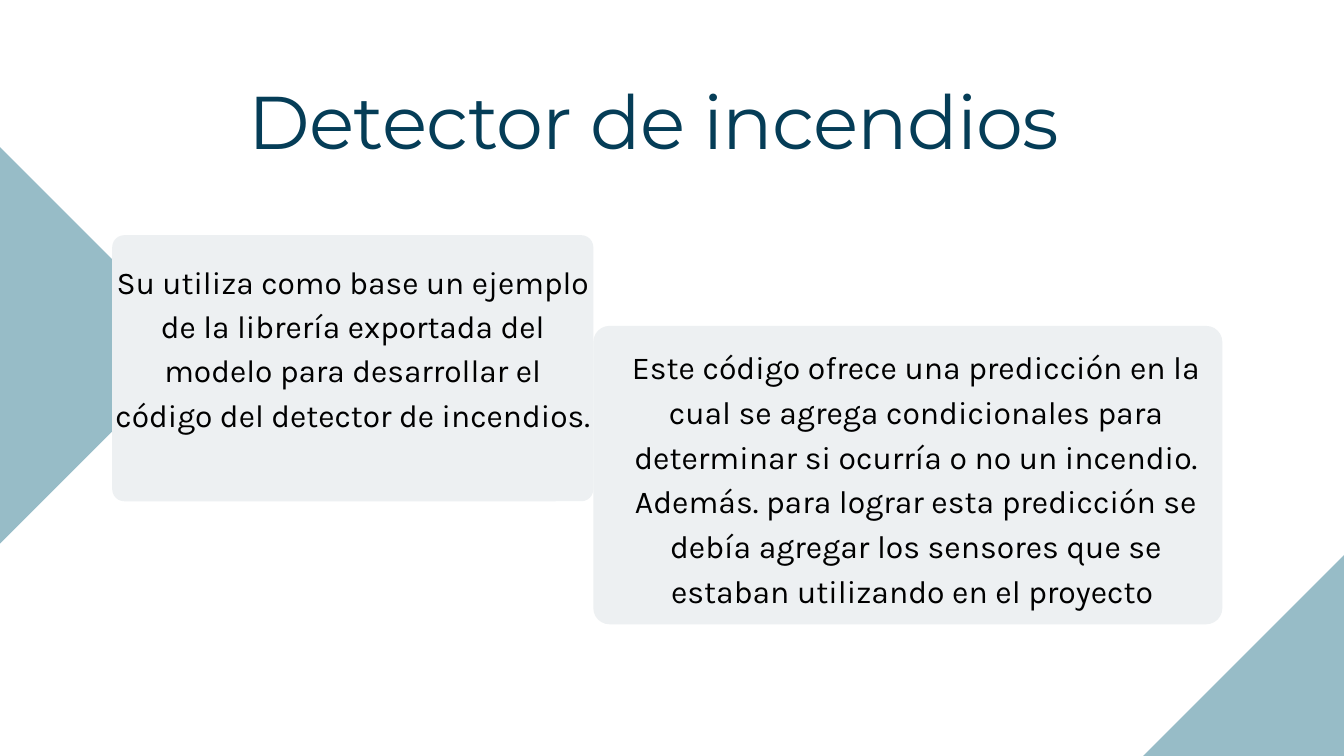
from dataclasses import dataclass

from pptx import Presentation
from pptx.dml.color import RGBColor
from pptx.enum.shapes import MSO_SHAPE as Shape
from pptx.enum.text import PP_ALIGN as Align
from pptx.util import Inches, Pt


@dataclass(frozen=True)
class Theme:
    title_color: RGBColor = RGBColor(0x05, 0x3D, 0x57)
    body_color: RGBColor = RGBColor(0, 0, 0)
    accent: RGBColor = RGBColor(0x97, 0xBC, 0xC7)
    card: RGBColor = RGBColor(0xED, 0xF0, 0xF2)
    title_font: str = "Montserrat"
    body_font: str = "Karla"
    title_size: float = 80
    left_size: float = 34
    right_size: float = 34.2


THEME = Theme()


def add_text(slide, box, paragraphs, *, size, font, color, leading, spacing=0):
    """Centred text without insets; leading and spacing are in points."""
    frame = slide.shapes.add_textbox(*map(Inches, box)).text_frame
    frame.word_wrap = True
    frame.margin_left = frame.margin_right = 0
    frame.margin_top = frame.margin_bottom = 0
    for index, words in enumerate(paragraphs):
        paragraph = frame.paragraphs[0] if index == 0 else frame.add_paragraph()
        paragraph.alignment = Align.CENTER
        paragraph.line_spacing = Pt(leading)
        run = paragraph.add_run()
        run.text = words
        run.font.size = Pt(size)
        run.font.name = font
        run.font.color.rgb = color
        if spacing:
            run.font._element.set("spc", str(round(spacing * 100)))


def add_panel(slide, kind, box, color):
    panel = slide.shapes.add_shape(kind, *map(Inches, box))
    panel.shadow.inherit = False
    panel.fill.solid()
    panel.fill.fore_color.rgb = color
    panel.line.fill.background()
    return panel


def add_corner_square(slide, left, top, side=8.64):
    square = add_panel(slide, Shape.RECTANGLE, (left, top, side, side), THEME.accent)
    square.rotation = 315


def add_title(slide, box, words):
    add_text(slide, box, [words], size=THEME.title_size, font=THEME.title_font,
             color=THEME.title_color, leading=96, spacing=-0.8)


def add_card(slide, box, paragraphs, *, radius, inset_left, inset_top, size, leading):
    left, top, width, height = box
    card = add_panel(slide, Shape.ROUNDED_RECTANGLE, box, THEME.card)
    card.adjustments[0] = radius / height
    text_box = (left + inset_left, top + inset_top,
                width - inset_left, height - 2 * inset_top)
    add_text(slide, text_box, paragraphs, size=size, font=THEME.body_font,
             color=THEME.body_color, leading=leading)


def main():
    deck = Presentation()
    deck.slide_width, deck.slide_height = Inches(20), Inches(11.25)
    slide = deck.slides.add_slide(deck.slide_layouts[6])

    # Title
    add_title(slide, (1.91, 1.12, 15.65, 1.34), "Detector de incendios")

    # Tilted squares at the right and left edges
    add_corner_square(slide, 16.44, 9.29)
    add_corner_square(slide, -7.48, 0.82)

    # Prediction card, on the right
    add_card(
        slide, (8.83, 4.85, 9.36, 4.44),
        ["Este código ofrece una predicción en la cual se agrega condicionales "
         "para determinar si ocurría o no un incendio.",
         "Además. para lograr esta predicción se debía agregar los sensores "
         "que se estaban utilizando en el proyecto "],
        radius=0.24, inset_left=0.24, inset_top=0.23,
        size=THEME.right_size, leading=47.9)

    # Library card, on the left
    add_card(
        slide, (1.67, 3.5, 7.16, 3.96),
        ["Su utiliza como base un ejemplo de la librería exportada del modelo "
         "para desarrollar el código del detector de incendios."],
        radius=0.18, inset_left=0, inset_top=0.31,
        size=THEME.left_size, leading=47.6)

    deck.save("out.pptx")


if __name__ == "__main__":
    main()
